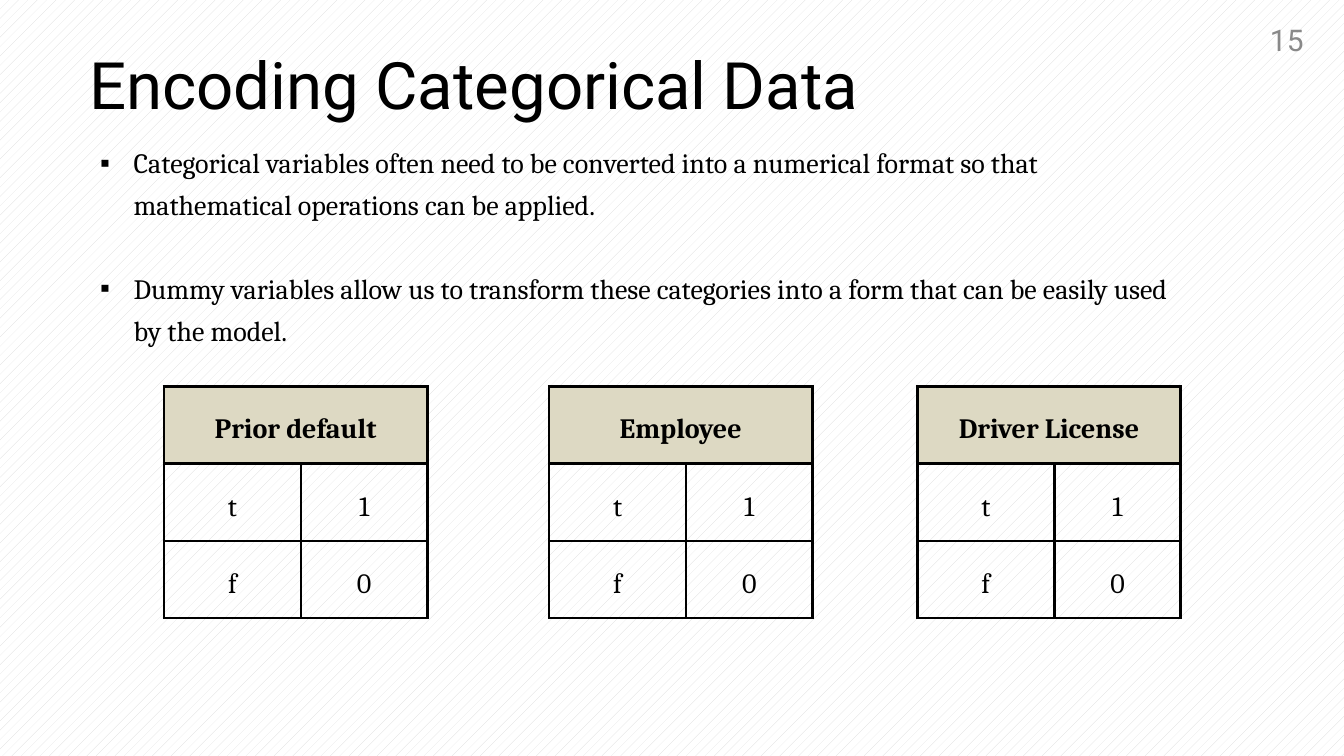
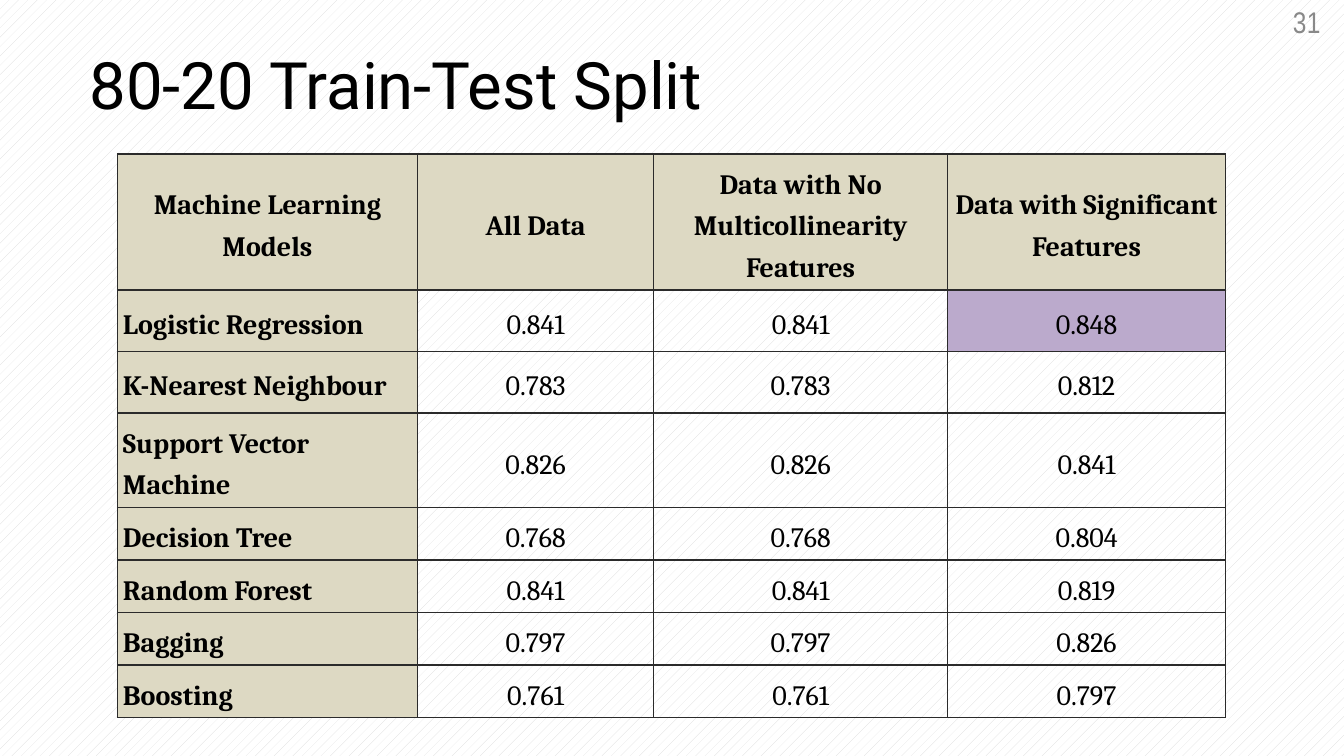
from lxml.etree import SubElement
from pptx import Presentation
from pptx.dml.color import RGBColor
from pptx.enum.dml import MSO_PATTERN
from pptx.enum.text import MSO_ANCHOR, MSO_AUTO_SIZE, PP_ALIGN
from pptx.oxml.ns import qn
from pptx.util import Inches, Pt

COLORS = {
    "paper": "FFFFFF",
    "hatch": "D9D9D9",
    "ink": "000000",
    "page": "898989",
    "rule": "2B2B2B",
    "header": "DDD9C3",
    "best": "BBAACC",
}
TITLE = {"name": "Roboto", "size": Pt(70), "bold": False}
BODY = {"name": "Cambria", "size": Pt(30), "bold": False}
STRONG = {**BODY, "bold": True}
BODY_LINE = Pt(44.8)


def rgb(name):
    return RGBColor.from_string(COLORS[name])


def apply(target, values):
    for attribute, value in values.items():
        setattr(target, attribute, value)


class Deck:
    """Holds the shared style and the slide being built."""

    def __init__(self):
        self.prs = Presentation()
        apply(self.prs, {"slide_width": Inches(20), "slide_height": Inches(11.25)})
        self.slide = None

    def new_slide(self, layout, title, page, page_right, page_top, page_font):
        self.slide = self.prs.slides.add_slide(self.prs.slide_layouts[layout])
        backdrop = self.slide.background.fill
        backdrop.patterned()
        backdrop.pattern = MSO_PATTERN.PERCENT_5
        backdrop.fore_color.rgb = rgb("hatch")
        backdrop.back_color.rgb = rgb("paper")

        heading = self.slide.shapes.title
        self.frame(heading, 1.33, 0.42, 17.54, 1.35)
        heading.text_frame.text = title
        self.format(heading.text_frame, TITLE, Pt(100.8))
        self.page_number(page, page_right, page_top, page_font)

    def frame(self, shape, left, top, width, height):
        apply(shape, {"left": Inches(left), "top": Inches(top),
                      "width": Inches(width), "height": Inches(height)})
        apply(shape.text_frame, {
            "margin_left": 0, "margin_top": 0, "margin_right": 0, "margin_bottom": 0,
            "word_wrap": True, "auto_size": MSO_AUTO_SIZE.NONE,
            "vertical_anchor": MSO_ANCHOR.TOP})

    def format(self, text_frame, font, line, align=PP_ALIGN.LEFT, color="ink"):
        for paragraph in text_frame.paragraphs:
            apply(paragraph, {"alignment": align, "line_spacing": line,
                              "space_before": Pt(0), "space_after": Pt(0)})
            for run in paragraph.runs:
                apply(run.font, font)
                run.font.color.rgb = rgb(color)

    def page_number(self, page, right, top, font):
        number = self.slide.shapes.add_textbox(0, 0, 0, 0)
        self.frame(number, right - 0.54, top, 0.54, 0.53)
        number.text_frame.text = page
        self.format(number.text_frame, {"name": font, "size": Pt(32)}, Pt(38.4),
                    PP_ALIGN.RIGHT, "page")
        for run in number.text_frame.paragraphs[0].runs:
            run.font._element.set("spc", "30")

    def bullets(self, points, left, top, width, height):
        body = self.slide.placeholders[1]
        self.frame(body, left, top, width, height)
        body.text_frame.text = "\n".join(points)
        for paragraph in body.text_frame.paragraphs:
            paragraph.level = 1
            props = paragraph._p.get_or_add_pPr()
            props.set("marL", str(Inches(0.88)))
            props.set("indent", str(Inches(-0.5)))
            SubElement(props, qn("a:buFont"), typeface="Arial")
            SubElement(props, qn("a:buChar"), char="▪")
        self.format(body.text_frame, BODY, BODY_LINE)
        for paragraph in body.text_frame.paragraphs[1:]:
            paragraph.space_before = BODY_LINE

    def border(self, cell, color, width):
        props = cell._tc.get_or_add_tcPr()
        for side in ("a:lnL", "a:lnR", "a:lnT", "a:lnB"):
            line = SubElement(props, qn(side), w=str(Pt(width)))
            fill = SubElement(line, qn("a:solidFill"))
            SubElement(fill, qn("a:srgbClr"), val=COLORS[color])

    def table(self, rows, left, top, widths, heights, margin, rule, rule_width,
              label_column=False, best=None):
        table = self.slide.shapes.add_table(
            len(rows), len(widths), Inches(left), Inches(top),
            Inches(sum(widths)), Inches(sum(heights))).table
        apply(table, {"first_row": False, "horz_banding": False})
        for column, width in zip(table.columns, widths):
            column.width = Inches(width)
        for row, height in zip(table.rows, heights):
            row.height = Inches(height)
        sides = ("margin_left", "margin_top", "margin_right", "margin_bottom")
        for r, texts in enumerate(rows):
            for c in range(len(widths)):
                cell = table.cell(r, c)
                is_label = label_column and c == 0
                is_header = r == 0 or is_label
                apply(cell, {**dict.fromkeys(sides, Inches(margin)),
                             "vertical_anchor": MSO_ANCHOR.MIDDLE})
                self.border(cell, rule, rule_width)
                if is_header or (r, c) == best:
                    cell.fill.solid()
                    cell.fill.fore_color.rgb = rgb("header" if is_header else "best")
                else:
                    cell.fill.background()
                if c < len(texts):
                    cell.text = texts[c]
                    align = PP_ALIGN.LEFT if is_label and r else PP_ALIGN.CENTER
                    self.format(cell.text_frame, STRONG if is_header else BODY,
                                BODY_LINE, align)
        # A lone heading spans the whole table
        if len(rows[0]) == 1:
            table.cell(0, 0).merge(table.cell(0, len(widths) - 1))


def encoding_slide(deck):
    deck.new_slide(1, "Encoding Categorical Data", "15", 19.4, 0.32, "Roboto")
    deck.bullets([
        "Categorical variables often need to be converted into a numerical format "
        "so that mathematical operations can be applied.",
        "Dummy variables allow us to transform these categories into a form that "
        "can be easily used by the model.",
    ], 1.11, 2.05, 16.45, 3.11)

    # One dummy-coding table per variable
    for variable, left in (("Prior default", 2.44), ("Employee", 8.17),
                           ("Driver License", 13.65)):
        deck.table([[variable], ["t", "1"], ["f", "0"]], left, 5.75,
                   [2.04, 1.88], [1.15] * 3, 0.21, "ink", 3)


def split_slide(deck):
    deck.new_slide(5, "80-20 Train-Test Split", "31", 19.65, 0.05, "Arial Narrow")
    scores = [
        ["Machine Learning Models", "All Data",
         "Data with No Multicollinearity Features", "Data with Significant Features"],
        ["Logistic Regression", "0.841", "0.841", "0.848"],
        ["K-Nearest Neighbour", "0.783", "0.783", "0.812"],
        ["Support Vector\nMachine", "0.826", "0.826", "0.841"],
        ["Decision Tree", "0.768", "0.768", "0.804"],
        ["Random Forest", "0.841", "0.841", "0.819"],
        ["Bagging", "0.797", "0.797", "0.826"],
        ["Boosting", "0.761", "0.761", "0.797"],
    ]
    deck.table(scores, 1.75, 2.29, [4.46, 3.52, 4.37, 4.14],
               [1.9, 0.91, 0.92, 1.3] + [0.71] * 4, 0.08, "rule", 1.5,
               label_column=True, best=(1, 3))


def main():
    deck = Deck()
    encoding_slide(deck)
    split_slide(deck)
    deck.prs.save("out.pptx")


if __name__ == "__main__":
    main()
